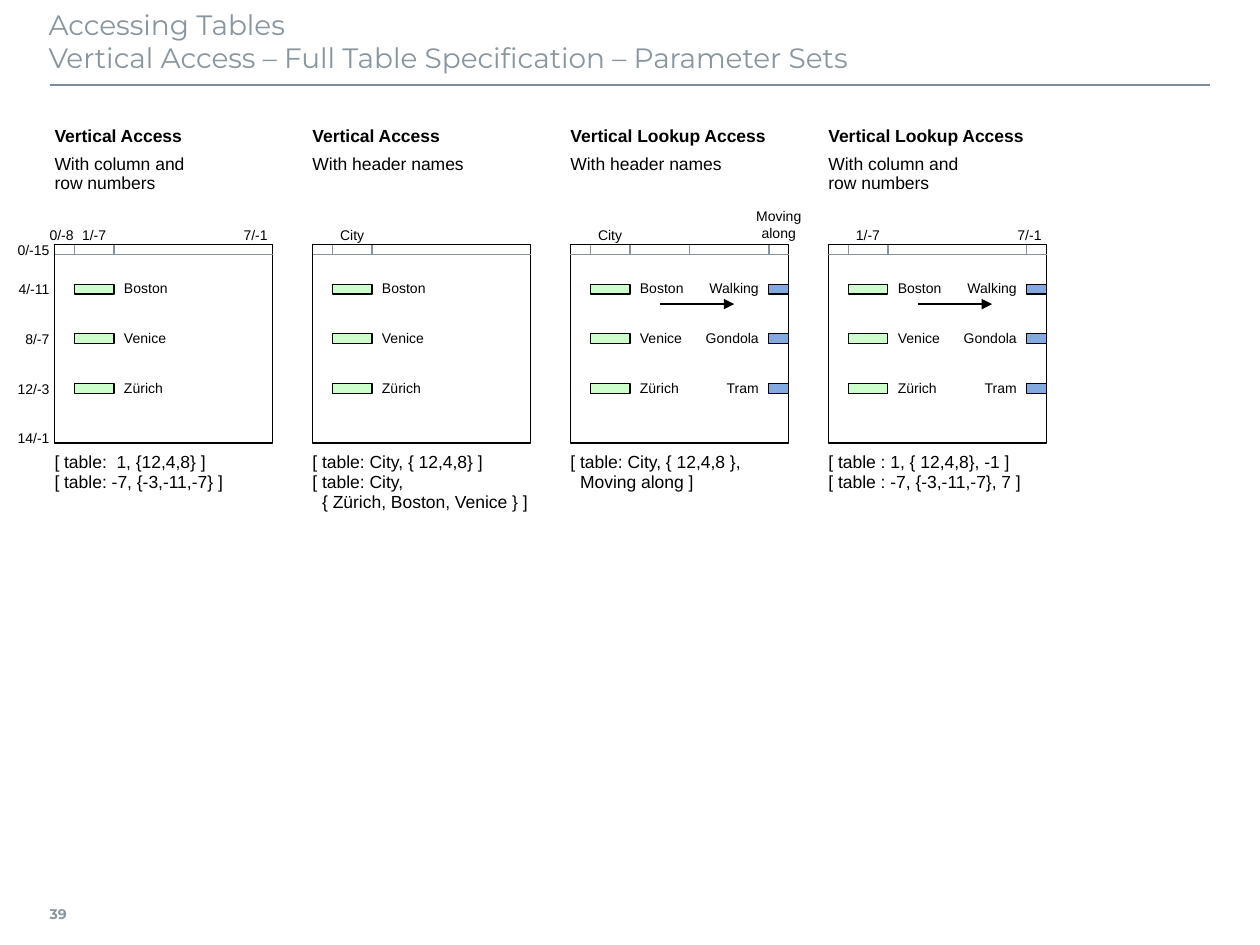
from dataclasses import dataclass

from lxml import etree
from pptx import Presentation
from pptx.dml.color import RGBColor
from pptx.enum.shapes import MSO_CONNECTOR, MSO_SHAPE
from pptx.enum.text import MSO_ANCHOR, PP_ALIGN
from pptx.oxml.ns import qn
from pptx.util import Inches, Mm, Pt

LEFT, CENTER, RIGHT = PP_ALIGN.LEFT, PP_ALIGN.CENTER, PP_ALIGN.RIGHT
TOP, MIDDLE = MSO_ANCHOR.TOP, MSO_ANCHOR.MIDDLE
RECTANGLE, STRAIGHT = MSO_SHAPE.RECTANGLE, MSO_CONNECTOR.STRAIGHT

COLORS = {
    "text": "000000",
    "heading": "8996A0",
    "heading rule": "808D97",
    "grid": "85939D",
    "key": "CCFFCC",
    "value": "83AADE",
}

CELL = Mm(2)  # every length below is a number of these grid cells
TABLE_COLS, TABLE_ROWS = 22, 20
PANEL_LEFT, PANEL_TOP, PANEL_PITCH = 5.5, 24.65, 26
KEY_COL, KEY_COLS = 2, 4
VALUE_COLS = 2
VALUE_COL = TABLE_COLS - VALUE_COLS
ENTRY_ROWS = (4, 9, 14)
CITIES = ("Boston", "Venice", "Zürich")
VEHICLES = ("Walking", "Gondola", "Tram")
ROW_LABELS = {0: "0/-15", 4: "4/-11", 9: "8/-7", 14: "12/-3", 19: "14/-1"}
LABEL_INSET = 0.5


@dataclass
class Panel:
    title: str
    subtitle: str
    formula: str
    column_labels: tuple  # (text, column, row, alignment)
    ticks: tuple = (KEY_COL, KEY_COL + KEY_COLS)
    lookup: bool = False
    row_labels: bool = False


NUMBERS = "With column and\nrow numbers"
NAMES = "With header names"
CITY = ("City", 3, -2, CENTER)
SECOND = ("1/-7", 3, -2, CENTER)
LAST = ("7/-1", VALUE_COL, -2, RIGHT)

PANELS = [
    Panel("Vertical Access", NUMBERS,
          "[ table:  1, {12,4,8} ]\n[ table: -7, {-3,-11,-7} ]",
          (("0/-8", -1, -2, LEFT), SECOND, LAST), row_labels=True),
    Panel("Vertical Access", NAMES,
          "[ table: City, { 12,4,8} ]\n[ table: City,\n"
          "  { Zürich, Boston, Venice } ]",
          (CITY,)),
    Panel("Vertical Lookup Access", NAMES,
          "[ table: City, { 12,4,8 },\n  Moving along ]",
          (CITY, ("Moving\nalong", VALUE_COL, -3, CENTER)),
          ticks=(2, 6, 12, VALUE_COL), lookup=True),
    Panel("Vertical Lookup Access", NUMBERS,
          "[ table : 1, { 12,4,8}, -1 ]\n[ table : -7, {-3,-11,-7}, 7 ]",
          (SECOND, LAST), ticks=(2, 6, VALUE_COL), lookup=True),
]


def cells(*counts):
    return [round(count * CELL) for count in counts]


def color(name):
    return RGBColor.from_string(COLORS[name])


def add_rectangle(page, left, top, width, height, fill=None, ink="text"):
    box = page.shapes.add_shape(RECTANGLE, *cells(left, top, width, height))
    box.shadow.inherit = False
    if ink:
        box.line.color.rgb = color(ink)
        box.line.width = Pt(0.75)
    else:
        box.line.fill.background()
    if fill:
        box.fill.solid()
        box.fill.fore_color.rgb = color(fill)
    else:
        box.fill.background()
    return box


def add_text(page, text, left, top, width, height, size=8, font="Arial",
             ink="text", bold=False, align=LEFT, anchor=MIDDLE, spacing=None,
             inset=0, inset_y=None, wrap=False):
    """Add text in a bare rectangle, which lets long lines run past its edge."""
    box = add_rectangle(page, left, top, width, height, ink=None)
    frame = box.text_frame
    frame.word_wrap = wrap
    frame.vertical_anchor = anchor
    frame.margin_left, frame.margin_right = cells(inset, inset)
    pad = inset if inset_y is None else inset_y
    frame.margin_top, frame.margin_bottom = cells(pad, pad)
    frame.text = text
    for para in frame.paragraphs:
        para.alignment = align
        if spacing:
            para.line_spacing = spacing
        for span in para.runs:
            span.font.size = Pt(size)
            span.font.name = font
            span.font.bold = bold
            span.font.color.rgb = color(ink)


def add_line(page, start, end, ink="grid", weight=0.75, arrow=False):
    line = page.shapes.add_connector(STRAIGHT, *cells(*start, *end))
    line.line.color.rgb = color(ink)
    line.line.width = Pt(weight)
    if arrow:
        etree.SubElement(line.line._get_or_add_ln(), qn("a:tailEnd"),
                         type="triangle")
    etree.SubElement(line._element.spPr, qn("a:effectLst"))


def add_heading(page, left, top, width, height):
    add_text(page, "Accessing Tables\vVertical Access – Full Table "
             "Specification – Parameter Sets", left, top, width, height,
             size=16, font="Montserrat", ink="heading", anchor=TOP,
             inset_y=0.64, wrap=True)
    rule = top + height + 0.5
    add_line(page, (left + 0.1, rule), (left + width + 0.1, rule),
             "heading rule", 1)


def add_table_diagram(page, panel, left, top):
    """Draw the outlined table with its header row, entries and labels."""
    add_rectangle(page, left, top, TABLE_COLS, TABLE_ROWS)
    add_line(page, (left, top + 1), (left + TABLE_COLS, top + 1))
    for tick in panel.ticks:
        add_line(page, (left + tick, top), (left + tick, top + 1))
    for text, col, row, align in panel.column_labels:
        add_text(page, text, left + col, top + row, 2, 2, align=align,
                 inset=LABEL_INSET)
    if panel.row_labels:
        for row, text in ROW_LABELS.items():
            add_text(page, text, left - 2, top + row, 2, 1, align=RIGHT,
                     inset=LABEL_INSET)
    for row, city, vehicle in zip(ENTRY_ROWS, CITIES, VEHICLES):
        entry = top + row
        add_rectangle(page, left + KEY_COL, entry, KEY_COLS, 1, "key")
        add_text(page, city, left + 7, entry - 1, 5, 3, spacing=0.95)
        if panel.lookup:
            add_rectangle(page, left + VALUE_COL, entry, VALUE_COLS, 1,
                          "value")
            add_text(page, vehicle, left + 14, entry - 1, 5, 3, align=RIGHT,
                     spacing=0.95)
    if panel.lookup:
        add_line(page, (left + 9, top + 6), (left + 16.5, top + 6), "text",
                 arrow=True)


def add_panel(page, panel, left, top):
    add_text(page, panel.title, left, top - 12, 15, 2, size=10, bold=True)
    add_text(page, panel.subtitle, left, top - 9, 15, 5, size=10, anchor=TOP,
             spacing=0.9)
    add_table_diagram(page, panel, left, top)
    add_text(page, panel.formula, left, top + 21, TABLE_COLS, 7, size=10,
             anchor=TOP, spacing=0.95)


def main():
    deck = Presentation()
    deck.slide_width, deck.slide_height = Inches(10), Inches(7.5)
    page = deck.slides.add_slide(deck.slide_layouts[6])
    add_heading(page, 4.9, 0.1, 117, 8)
    for index, panel in enumerate(PANELS):
        add_panel(page, panel, PANEL_LEFT + index * PANEL_PITCH, PANEL_TOP)
    add_text(page, "39", 5, 89.6, 4.5, 5, font="Montserrat", ink="heading",
             bold=True)
    deck.save("out.pptx")


if __name__ == "__main__":
    main()
